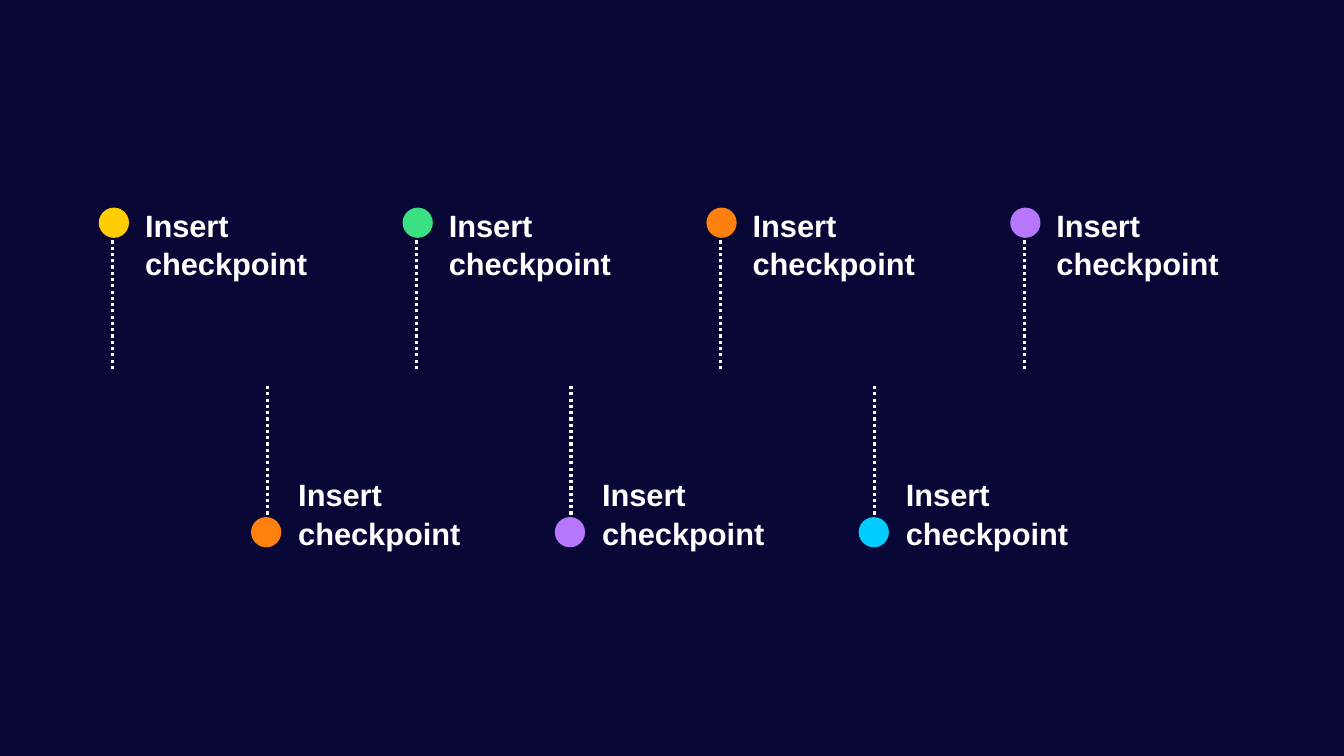
from lxml import etree
from pptx import Presentation
from pptx.dml.color import RGBColor
from pptx.enum.dml import MSO_LINE
from pptx.enum.shapes import MSO_CONNECTOR, MSO_SHAPE
from pptx.enum.text import MSO_ANCHOR
from pptx.oxml.ns import qn
from pptx.util import Inches, Pt

COLORS = {
    "navy": "090736",
    "white": "FFFFFF",
    "yellow": "FFCD00",
    "green": "3AE081",
    "orange": "FE8110",
    "purple": "B677FE",
    "cyan": "00CCFF",
}
PITCH = 9.04 / 3
DOT = 0.3
LABEL_WIDTH, LABEL_HEIGHT = 2.2, 1.35


def rgb(name):
    """Return the named colour of the palette."""
    return RGBColor.from_string(COLORS[name])


def add_text(s, text, x, y, w, h, size=22, color="white", bold=True,
             font="Arial", anchor=MSO_ANCHOR.TOP, line_spacing=1.05):
    """Place a wrapped, formatted text box."""
    tf = s.shapes.add_textbox(Inches(x), Inches(y), Inches(w), Inches(h)).text_frame
    tf.word_wrap = True
    tf.vertical_anchor = anchor
    p = tf.paragraphs[0]
    p.line_spacing = line_spacing
    r = p.add_run()
    r.text = text
    r.font.size = Pt(size)
    r.font.name = font
    r.font.bold = bold
    r.font.color.rgb = rgb(color)


def add_stem(s, x, start, end):
    """Draw a dotted vertical line."""
    line = s.shapes.add_connector(
        MSO_CONNECTOR.STRAIGHT, Inches(x), Inches(start), Inches(x), Inches(end))
    line.line.color.rgb = rgb("white")
    line.line.width = Pt(2.25)
    line.line.dash_style = MSO_LINE.ROUND_DOT
    etree.SubElement(line._element.spPr, qn("a:effectLst"))


def add_dot(s, x, y, color):
    """Draw a filled checkpoint marker."""
    sp = s.shapes.add_shape(
        MSO_SHAPE.OVAL, Inches(x), Inches(y), Inches(DOT), Inches(DOT))
    sp.shadow.inherit = False
    sp.fill.solid()
    sp.fill.fore_color.rgb = rgb(color)
    sp.line.fill.background()


def add_upper_checkpoint(s, x, y, color):
    """Place a marker and label above a stem."""
    add_text(s, "Insert checkpoint", x + 0.36, y, LABEL_WIDTH, LABEL_HEIGHT)
    add_stem(s, x + 0.14, y + 1.68, y + 0.4)
    add_dot(s, x, y + 0.08, color)


def add_lower_checkpoint(s, x, y, color):
    """Place a marker and label at the foot of a stem."""
    add_text(s, "Insert checkpoint", x + 0.37, y + 0.34, LABEL_WIDTH, LABEL_HEIGHT,
             anchor=MSO_ANCHOR.BOTTOM)
    add_stem(s, x + 0.16, y, y + 1.28)
    add_dot(s, x, y + 1.3, color)


def add_row(s, x, y, colors, add_checkpoint):
    """Place evenly spaced checkpoints from the row's left top corner."""
    for i, color in enumerate(colors):
        add_checkpoint(s, x + i * PITCH, y, color)


def main():
    """Build the checkpoint timeline slide."""
    prs = Presentation()
    prs.slide_width, prs.slide_height = Inches(13.33), Inches(7.5)
    s = prs.slides.add_slide(prs.slide_layouts[6])
    s.background.fill.solid()
    s.background.fill.fore_color.rgb = rgb("navy")
    add_row(s, 0.98, 1.98, ["yellow", "green", "orange", "purple"], add_upper_checkpoint)
    add_row(s, 2.49, 3.83, ["orange", "purple", "cyan"], add_lower_checkpoint)
    prs.save("out.pptx")


if __name__ == "__main__":
    main()
